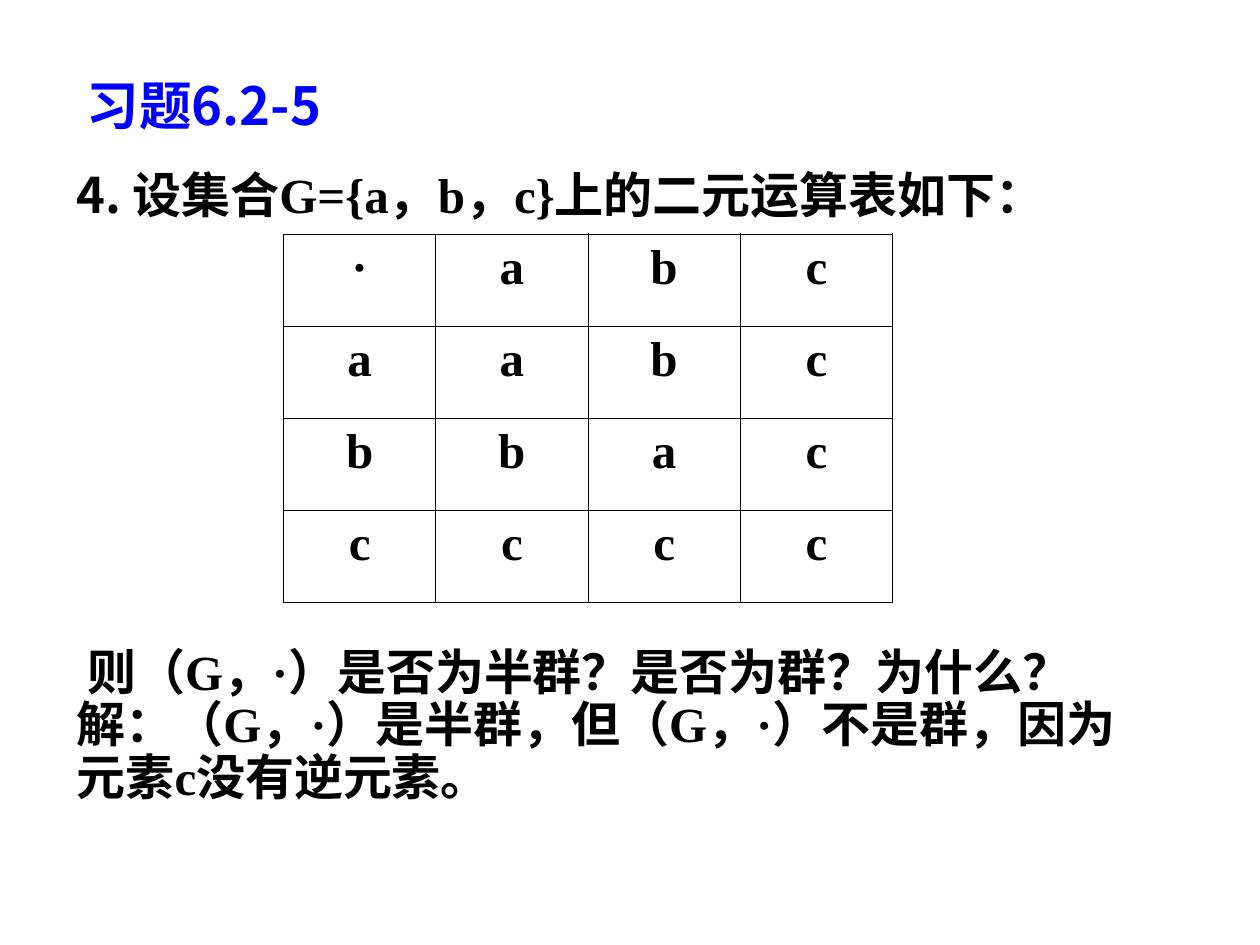
from dataclasses import dataclass
from typing import Optional

from lxml.etree import SubElement
from pptx import Presentation
from pptx.dml.color import RGBColor
from pptx.enum.text import MSO_ANCHOR as Anchor, PP_ALIGN as Align
from pptx.oxml.ns import qn
from pptx.util import Pt

COLORS = {"title": "0000FF", "ink": "000000"}
SANS, SERIF = "Noto Sans CJK SC", "Times New Roman"
THIN, THICK = 0.45, 1.08
HANGING = 27


@dataclass
class Line:
    """One paragraph of the exercise: (text, font) spans and its layout."""
    spans: list[tuple[str, str]]
    before: float = 0
    first_indent: float = -HANGING


def add_span(para, text: str, *, size: float = 28, font: str = SERIF,
             color: str = "ink", east_asian: Optional[str] = None) -> None:
    span = para.add_run()
    span.text = text
    span.font.size = Pt(size)
    span.font.bold = True
    span.font.name = font
    span.font.color.rgb = RGBColor.from_string(COLORS[color])
    if east_asian:
        SubElement(span.font._element, qn("a:ea"), typeface=east_asian)


def add_box(page, left: float, top: float, width: float, height: float):
    box = page.shapes.add_textbox(Pt(left), Pt(top), Pt(width), Pt(height))
    box.text_frame.word_wrap = True
    return box.text_frame


def add_lines(frame, lines: list[Line]) -> None:
    for index, line in enumerate(lines):
        para = frame.add_paragraph() if index else frame.paragraphs[0]
        para.alignment = Align.JUSTIFY
        para.line_spacing = 0.9
        para.space_before = Pt(line.before)
        layout = para._p.get_or_add_pPr()
        layout.set("marL", str(Pt(HANGING)))
        layout.set("indent", str(Pt(line.first_indent)))
        for text, font in line.spans:
            add_span(para, text, font=font, east_asian=SANS if font == SANS else None)


def set_borders(cell, widths: dict[str, float]) -> None:
    for side, width in widths.items():
        edge = SubElement(cell._tc.get_or_add_tcPr(), qn(f"a:ln{side}"), w=str(Pt(width)))
        fill = SubElement(edge, qn("a:solidFill"))
        SubElement(fill, qn("a:srgbClr"), val=COLORS["ink"])


def add_operation_table(page, rows: list[str], left: float, top: float,
                        column: float, row_height: float) -> None:
    count = len(rows)
    last = count - 1
    table = page.shapes.add_table(count, count, Pt(left), Pt(top),
                                  Pt(column * count), Pt(row_height * count)).table
    table.first_row = table.horz_banding = False
    for r, symbols in enumerate(rows):
        for c, symbol in enumerate(symbols):
            cell = table.cell(r, c)
            para = cell.text_frame.paragraphs[0]
            para.alignment = Align.CENTER
            add_span(para, symbol)
            cell.margin_top = Pt(3.6)
            # Outer edges are heavier, except above the operator cell
            set_borders(cell, {
                "L": THICK if c == 0 else THIN,
                "R": THICK if c == last else THIN,
                "T": THICK if r == 0 and c > 0 else THIN,
                "B": THICK if r == last else THIN,
            })
            cell.fill.background()


def main() -> None:
    deck = Presentation()
    deck.slide_width, deck.slide_height = Pt(720), Pt(540)
    page = deck.slides.add_slide(deck.slide_layouts[6])

    # Title
    title = add_box(page, 42.5, 37.5, 612, 44)
    title.vertical_anchor = Anchor.MIDDLE
    add_span(title.paragraphs[0], "习题6.2-5", size=30, font=SANS,
             color="title", east_asian=SANS)

    # Question and answer, with room for the table between them
    add_lines(add_box(page, 36.7, 94.3, 683.3, 402.5), [
        Line([("4. ", SANS), ("设集合G={a，b，c}上的二元运算表如下：", SERIF)]),
        Line([("则（G，·）是否为半群？是否为群？为什么？", SERIF)],
             before=242, first_indent=6 - HANGING),
        Line([("解：（G，·）是半群，但（G，·）不是群，因为", SERIF)]),
        Line([("元素c没有逆元素。", SERIF)]),
    ])

    # Operation table
    add_operation_table(page, ["·abc", "aabc", "babc".replace("babc", "bbac"), "cccc"],
                        left=162, top=133.9, column=87, row_height=52.6)
    deck.save("out.pptx")


if __name__ == "__main__":
    main()
